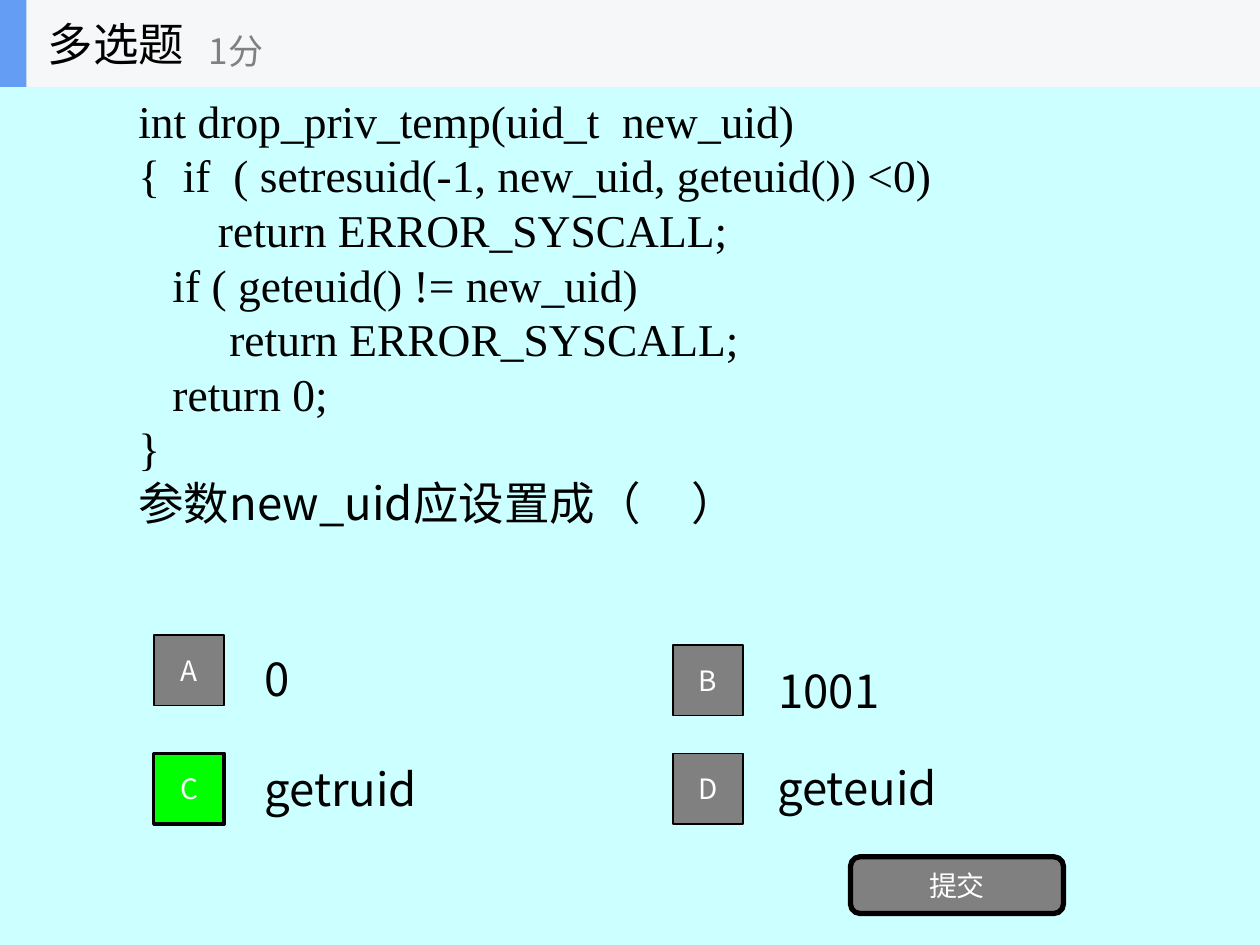
from dataclasses import dataclass

import pptx
import pptx.dml.color
import pptx.enum.shapes
import pptx.enum.text
import pptx.oxml.ns
import pptx.util
from lxml import etree

Inches = pptx.util.Inches
Pt = pptx.util.Pt
SHAPE = pptx.enum.shapes.MSO_SHAPE
ALIGN = pptx.enum.text.PP_ALIGN
ANCHOR = pptx.enum.text.MSO_ANCHOR


@dataclass(frozen=True)
class Theme:
    background: str = "CCFFFF"
    band: str = "F6F7F8"
    accent: str = "639EF4"
    ink: str = "000000"
    grey: str = "808080"
    chosen: str = "00FF00"
    white: str = "FFFFFF"
    font: str = "Noto Sans CJK SC"
    code_font: str = "Times New Roman"
    body: float = 26
    score: float = 20
    button: float = 16
    code_leading: float = 31.2


THEME = Theme()

CODE = [
    "int drop_priv_temp(uid_t  new_uid)",
    "{  if  ( setresuid(-1, new_uid, geteuid()) <0)",
    "       return ERROR_SYSCALL;",
    "   if ( geteuid() != new_uid)",
    "        return ERROR_SYSCALL;",
    "   return 0;",
    "}",
]
QUESTION = "参数new_uid应设置成（     ）"

BUTTON_SIZE = 0.56
OPTIONS = [
    ("A", 1.22, 5.04, "0", (2, 5.03, 2.83, 0.7)),
    ("B", 5.34, 5.12, "1001", (6.08, 5.13, 3.56, 0.7)),
    ("C", 1.22, 5.98, "getruid", (2, 5.91, 7, 0.7)),
    ("D", 5.34, 5.98, "geteuid", (6.07, 5.9, 3.79, 0.7)),
]
ANSWER = "C"


def rgb(value):
    return pptx.dml.color.RGBColor.from_string(value)


def format_paragraph(p, size, color, font=THEME.font, align=ALIGN.LEFT):
    p.alignment = align
    for r in p.runs:
        r.font.size = Pt(size)
        r.font.name = font
        r.font.color.rgb = rgb(color)
        ea = etree.SubElement(r.font._element, pptx.oxml.ns.qn("a:ea"))
        ea.set("typeface", font)


def set_text(sp, text, size, color, align=ALIGN.LEFT):
    tf = sp.text_frame
    tf.word_wrap = True
    tf.vertical_anchor = ANCHOR.MIDDLE
    tf.text = text
    for p in tf.paragraphs:
        format_paragraph(p, size, color, align=align)
    return tf


def add_text(s, text, box, size=THEME.body, color=THEME.ink):
    sp = s.shapes.add_textbox(*map(Inches, box))
    return set_text(sp, text, size, color)


def add_block(s, kind, box, fill, line_width=0):
    sp = s.shapes.add_shape(kind, *map(Inches, box))
    sp.shadow.inherit = False
    sp.fill.solid()
    sp.fill.fore_color.rgb = rgb(fill)
    if line_width:
        sp.line.color.rgb = rgb(THEME.ink)
        sp.line.width = Pt(line_width)
    else:
        sp.line.fill.background()
    return sp


def add_button(s, kind, box, label, fill, line_width):
    sp = add_block(s, kind, box, fill, line_width)
    tf = set_text(sp, label, THEME.button, THEME.white, ALIGN.CENTER)
    tf.word_wrap = False


def add_question(s):
    tf = add_text(s, "\n".join(CODE + [QUESTION]), (1, 0.74, 8, 3.46))
    for p in tf.paragraphs:
        p.line_spacing = Pt(THEME.code_leading)
    for p in tf.paragraphs[:len(CODE)]:
        for r in p.runs:
            r.font.name = THEME.code_font


def add_option(s, letter, left, top, answer, answer_box):
    add_text(s, answer, answer_box)
    chosen = letter == ANSWER
    box = (left, top, BUTTON_SIZE, BUTTON_SIZE)
    fill = THEME.chosen if chosen else THEME.grey
    add_button(s, SHAPE.RECTANGLE, box, letter, fill, 2 if chosen else 1)


def add_header(s, title, score):
    add_block(s, SHAPE.RECTANGLE, (0, 0, 10, 0.69), THEME.band)
    add_block(s, SHAPE.RECTANGLE, (0, 0, 0.21, 0.69), THEME.accent)
    sp = s.shapes.title
    sp.left, sp.top, sp.width, sp.height = map(Inches, (0.28, 0, 2.08, 0.69))
    set_text(sp, title, THEME.body, THEME.ink)
    s.shapes._spTree.append(sp._element)
    add_text(s, score, (1.56, 0.12, 2.5, 0.56), THEME.score, THEME.grey)


def main():
    prs = pptx.Presentation()
    prs.slide_width, prs.slide_height = Inches(10), Inches(7.5)
    s = prs.slides.add_slide(prs.slide_layouts[5])
    s.background.fill.solid()
    s.background.fill.fore_color.rgb = rgb(THEME.background)
    add_question(s)
    for option in OPTIONS:
        add_option(s, *option)
    submit_box = (6.75, 6.8, 1.69, 0.45)
    add_button(s, SHAPE.ROUNDED_RECTANGLE, submit_box, "提交", THEME.grey, 3)
    add_header(s, "多选题", "1分")
    prs.save("out.pptx")


if __name__ == "__main__":
    main()
